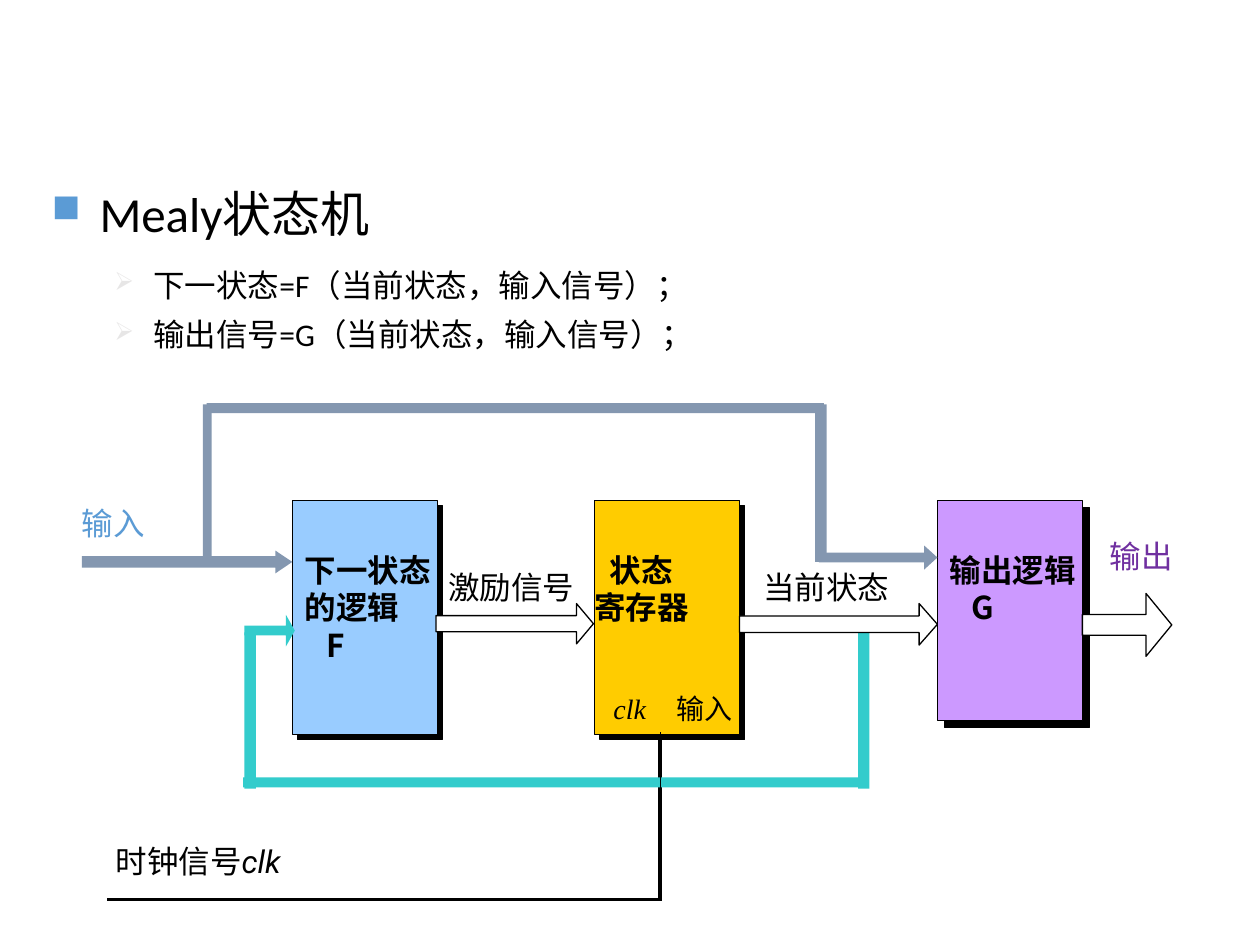
"""Build a slide that shows the block diagram of a Mealy state machine."""
from lxml.etree import SubElement
from pptx import Presentation
from pptx.dml.color import RGBColor
from pptx.enum.shapes import MSO_CONNECTOR, MSO_SHAPE
from pptx.enum.text import MSO_ANCHOR, MSO_AUTO_SIZE, PP_ALIGN
from pptx.oxml.ns import qn
from pptx.util import Inches, Pt

BLACK = RGBColor(0x00, 0x00, 0x00)
WHITE = RGBColor(0xFF, 0xFF, 0xFF)
BLUE = RGBColor(0x5B, 0x9B, 0xD5)
PALE_GRAY = RGBColor(0xE7, 0xE6, 0xE6)
SKY = RGBColor(0x99, 0xCC, 0xFF)
LILAC = RGBColor(0xCC, 0x99, 0xFF)
GOLD = RGBColor(0xFF, 0xCC, 0x00)
TEAL = RGBColor(0x33, 0xCC, 0xCC)
SLATE = RGBColor(0x84, 0x97, 0xB0)
PURPLE = RGBColor(0x70, 0x30, 0xA0)
CJK = "Noto Sans CJK SC"


def style_run(run, size, font, color=BLACK, bold=False, italic=False):
    run.font.size = Pt(size)
    run.font.name = font
    run.font.bold = bold
    run.font.italic = italic
    run.font.color.rgb = color
    SubElement(run.font._element, qn("a:ea"), typeface=CJK)


def set_indent(paragraph, left, hanging=0, bullet=None, color=None):
    properties = paragraph._p.get_or_add_pPr()
    properties.set("marL", str(Inches(left)))
    properties.set("indent", str(-Inches(hanging)))
    if bullet:
        bullet_color = SubElement(properties, qn("a:buClr"))
        SubElement(bullet_color, qn("a:srgbClr"), val=str(color))
        SubElement(properties, qn("a:buSzPct"), val="80000")
        SubElement(properties, qn("a:buChar"), char=bullet)


prs = Presentation()
prs.slide_width, prs.slide_height = Inches(10), Inches(7.5)
slide = prs.slides.add_slide(prs.slide_layouts[5])
shapes = slide.shapes

title = shapes.title
title.left, title.top = Inches(0.31), Inches(1.41)
title.width, title.height = Inches(9.28), Inches(0.91)
heading = title.text_frame
heading.text = "Mealy状态机"
heading.auto_size = MSO_AUTO_SIZE.NONE
heading.vertical_anchor = MSO_ANCHOR.TOP
heading.paragraphs[0].alignment = PP_ALIGN.LEFT
set_indent(heading.paragraphs[0], 0.38, 0.38, "■", BLUE)
style_run(heading.paragraphs[0].runs[0], 28, "Calibri")

equations = shapes.add_textbox(Inches(0.31), Inches(2.03), Inches(7.99), Inches(1.22)).text_frame
equations.word_wrap = True
equations.text = "下一状态=F（当前状态，输入信号）；\n输出信号=G（当前状态，输入信号）；"
for equation in equations.paragraphs:
    equation.level = 1
    equation.line_spacing = 1.1
    set_indent(equation, 0.81, 0.31, "➢", PALE_GRAY)
    style_run(equation.runs[0], 18, "Calibri")
equations.paragraphs[1].space_before = Pt(4.5)

wires = []
for x1, y1, x2, y2, weight in (
    (5.24, 7.15, 5.24, 5.67, 2),
    (5.24, 5.81, 5.24, 7.11, 0.75),
    (5.23, 7.14, 0.85, 7.14, 2),
):
    wire = shapes.add_connector(
        MSO_CONNECTOR.STRAIGHT, Inches(x1), Inches(y1), Inches(x2), Inches(y2)
    )
    wire.line.color.rgb = BLACK
    wire.line.width = Pt(weight)
    SubElement(wire._element.spPr, qn("a:effectLst"))
    wires.append(wire)
SubElement(wires[0].line._get_or_add_ln(), qn("a:tailEnd"), type="triangle")

for left, height, color, distance in (
    (2.32, 1.86, SKY, 4.2),
    (7.44, 1.75, LILAC, 5.7),
    (4.72, 1.86, GOLD, 4.2),
):
    block = shapes.add_shape(
        MSO_SHAPE.RECTANGLE, Inches(left), Inches(3.97), Inches(1.15), Inches(height)
    )
    block.fill.solid()
    block.fill.fore_color.rgb = color
    block.line.color.rgb = BLACK
    block.line.width = Pt(0.75)
    block.shadow.inherit = False
    shadow = SubElement(
        block._element.spPr.find(qn("a:effectLst")), qn("a:outerShdw"),
        blurRad="0", dist=str(Pt(distance)), dir="2700000", algn="ctr", rotWithShape="0",
    )
    SubElement(shadow, qn("a:srgbClr"), val=str(BLACK))

for left, top, width, height, color in (
    (6.81, 5.01, 0.09, 1.25, TEAL),
    (1.93, 6.17, 4.9, 0.08, TEAL),
    (1.94, 5.02, 0.09, 1.24, TEAL),
    (6.47, 3.21, 0.09, 1.25, SLATE),
    (1.64, 3.2, 4.9, 0.08, SLATE),
    (1.61, 3.21, 0.07, 1.27, SLATE),
):
    bar = shapes.add_shape(
        MSO_SHAPE.RECTANGLE, Inches(left), Inches(top), Inches(width), Inches(height)
    )
    bar.fill.solid()
    bar.fill.fore_color.rgb = color
    bar.line.fill.background()
    bar.shadow.inherit = False

wires[1]._element.getparent().append(wires[1]._element)

for left, top, width, height, shaft, head, color in (
    (1.94, 4.88, 0.4, 0.25, 0.31, 0.28, TEAL),
    (6.5, 4.33, 0.94, 0.19, 0.4, 0.55, SLATE),
    (0.65, 4.37, 1.67, 0.18, 0.51, 0.74, SLATE),
    (3.46, 4.79, 1.25, 0.32, 0.4, 0.42, WHITE),
    (5.87, 4.79, 1.57, 0.33, 0.4, 0.44, WHITE),
    (8.59, 4.71, 0.71, 0.5, 0.33, 0.41, WHITE),
):
    arrow = shapes.add_shape(
        MSO_SHAPE.RIGHT_ARROW, Inches(left), Inches(top), Inches(width), Inches(height)
    )
    arrow.adjustments[0], arrow.adjustments[1] = shaft, head
    arrow.fill.solid()
    arrow.fill.fore_color.rgb = color
    arrow.shadow.inherit = False
    if color == WHITE:
        arrow.line.color.rgb = BLACK
        arrow.line.width = Pt(0.75)
    else:
        arrow.line.fill.background()

for left, top, width, height, lines, indents, font, color, bold in (
    (2.32, 4.32, 1.36, 1.11, "下一状态\n的逻辑\nF", (0, 0, 0.17), CJK, BLACK, True),
    (7.44, 4.32, 1.35, 1.11, "输出逻辑\nG", (0, 0.17), CJK, BLACK, True),
    (4.62, 4.32, 1.36, 1.11, "状态\n寄存器", (0.12, 0), "Times New Roman", BLACK, True),
    (0.55, 3.95, 1.67, 0.56, "输入", (0,), "Calibri", BLUE, False),
    (8.71, 4.21, 0.94, 0.56, "输出", (0,), "Calibri", PURPLE, False),
    (5.96, 4.46, 1.4, 0.56, "当前状态", (0,), CJK, BLACK, False),
    (3.46, 4.46, 1.41, 0.56, "激励信号", (0,), CJK, BLACK, False),
):
    label = shapes.add_textbox(Inches(left), Inches(top), Inches(width), Inches(height)).text_frame
    label.word_wrap = True
    label.text = lines
    for paragraph, indent in zip(label.paragraphs, indents):
        set_indent(paragraph, indent)
        style_run(paragraph.runs[0], 18, font, color, bold)

for left, top, width, indent, size, font, parts in (
    (0.82, 6.63, 2.3, 0, 18, "Roboto", (("时钟信号", False), ("clk", True))),
    (4.72, 5.44, 1.25, 0.05, 16, "Times New Roman", (("clk\t", True), ("输入", False))),
):
    clock = shapes.add_textbox(Inches(left), Inches(top), Inches(width), Inches(0.56)).text_frame
    clock.word_wrap = True
    paragraph = clock.paragraphs[0]
    set_indent(paragraph, indent)
    tabs = SubElement(paragraph._p.get_or_add_pPr(), qn("a:tabLst"))
    SubElement(tabs, qn("a:tab"), pos=str(Inches(0.47)), algn="l")
    for text, italic in parts:
        run = paragraph.add_run()
        run.text = text
        style_run(run, size, font, italic=italic)

prs.save("out.pptx")
